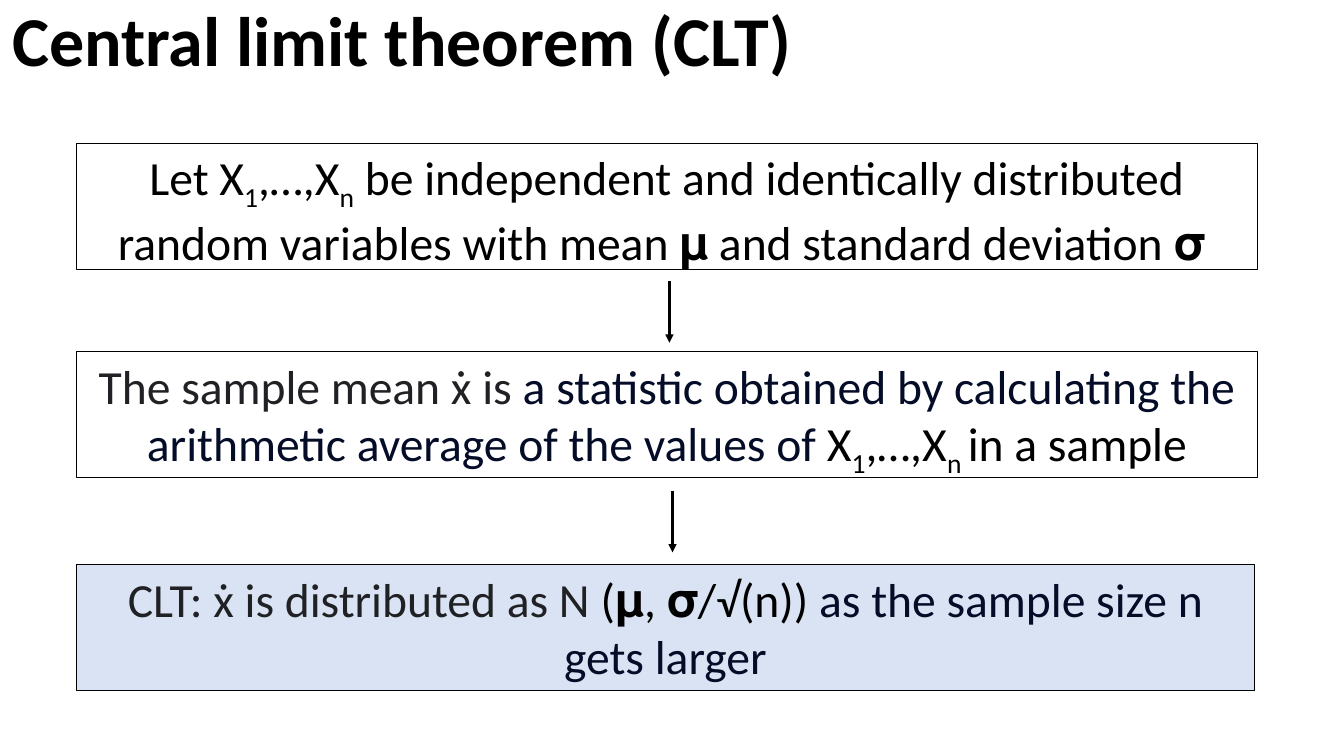
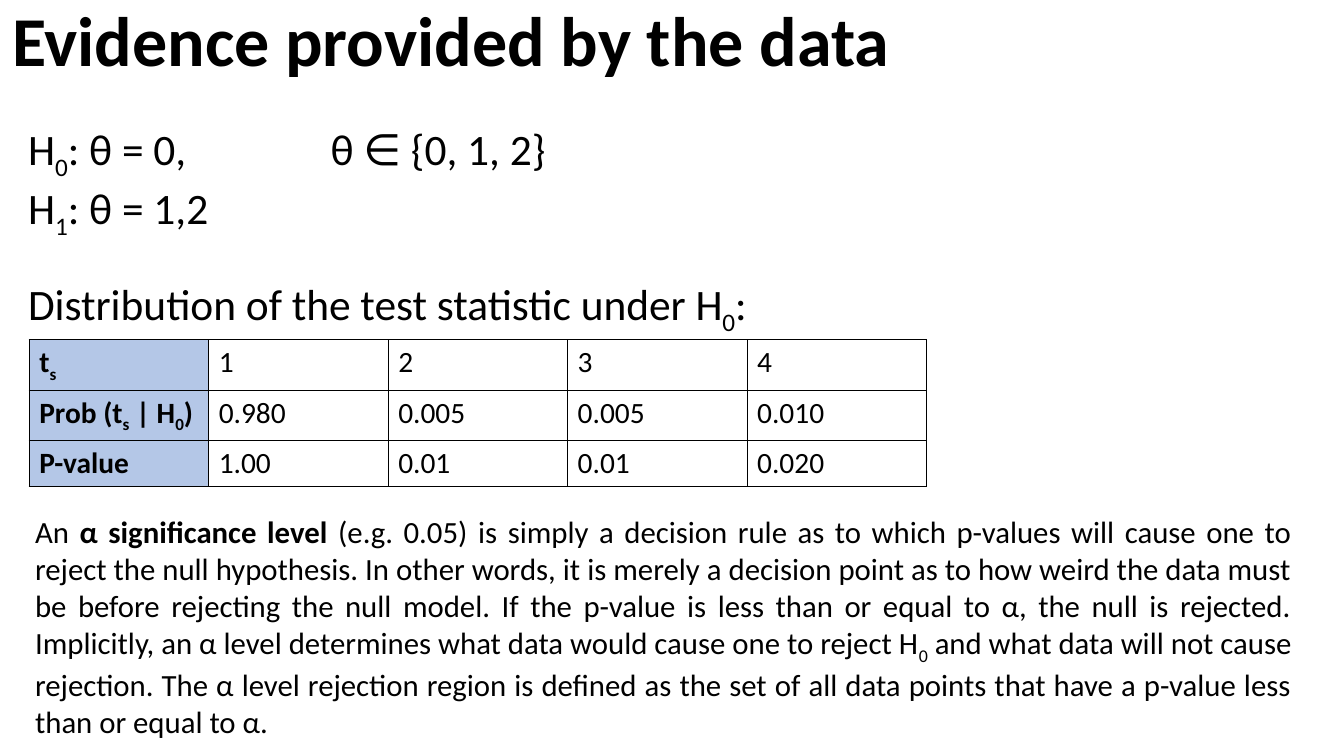
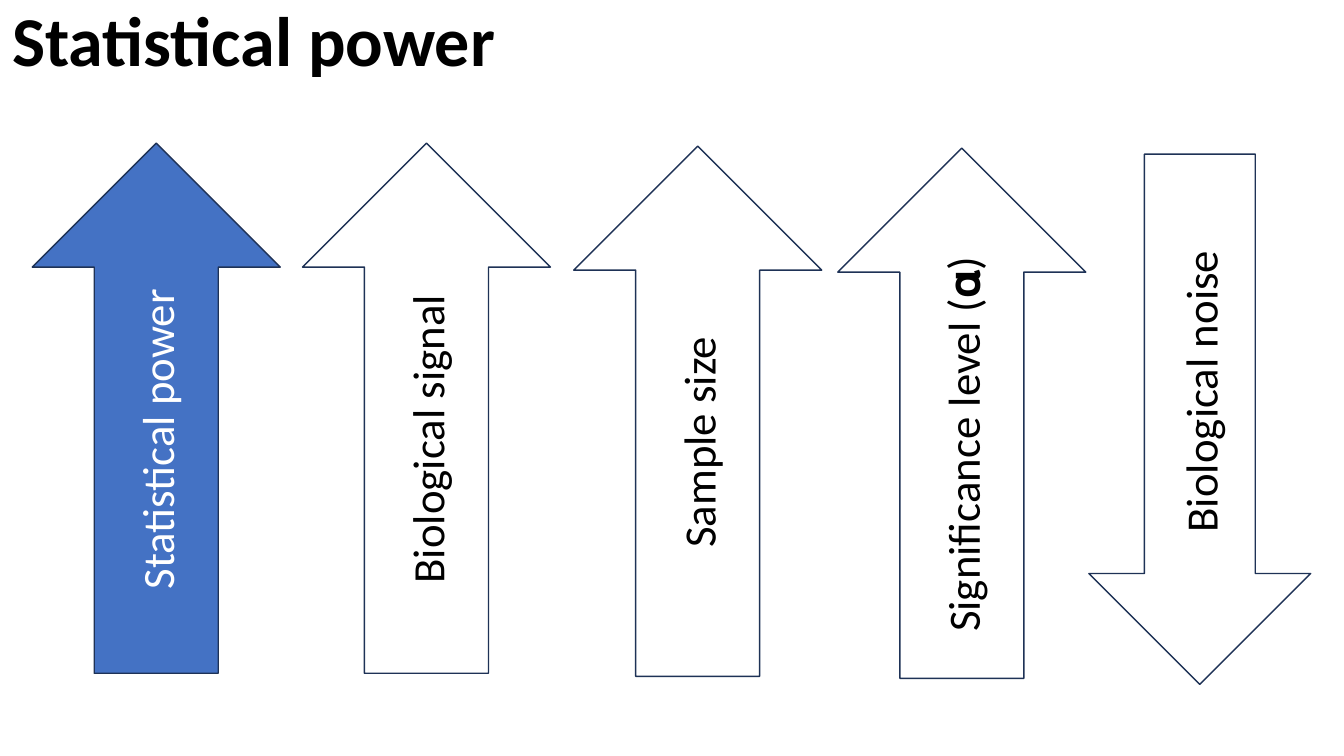
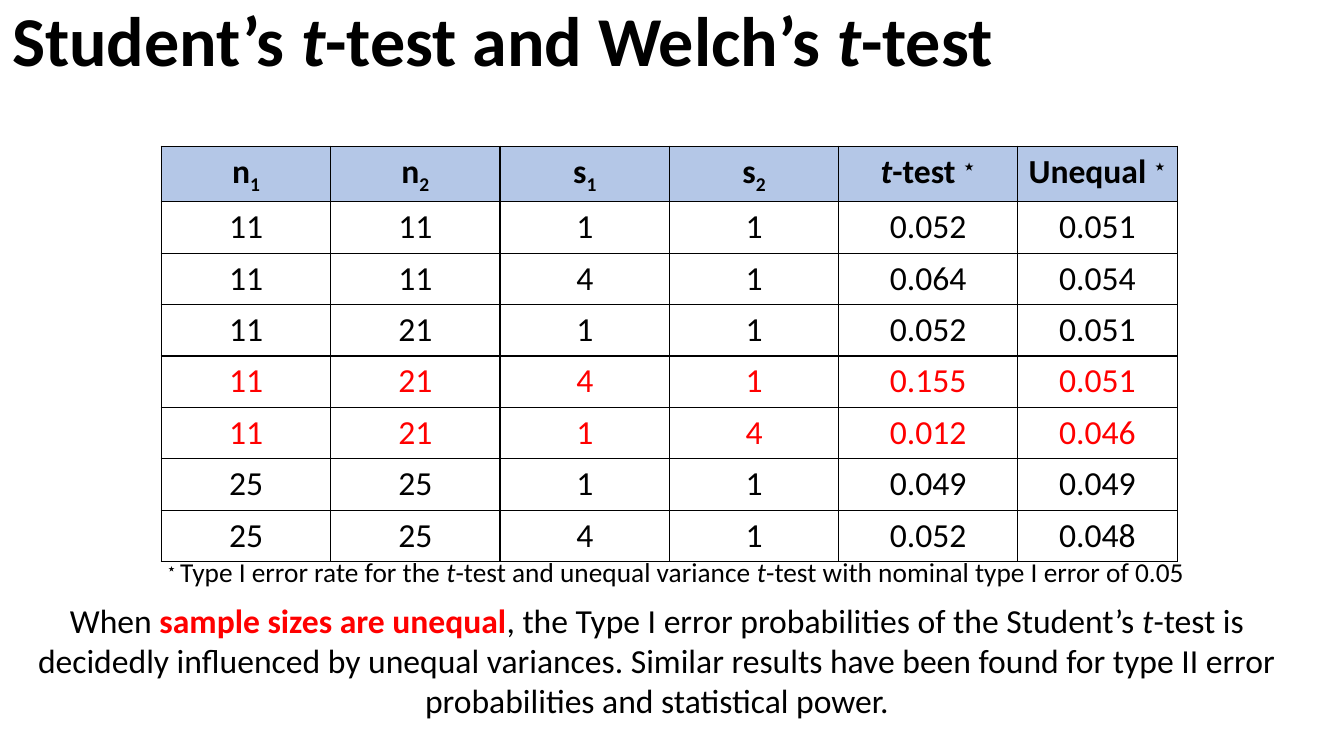
import pptx
import pptx.util
import pptx.dml.color
import pptx.enum.shapes
import pptx.enum.text
import pptx.oxml.ns
import lxml.etree

PX = 9144
FONT = "Calibri"
COLORS = {
    "black": "000000",
    "white": "FFFFFF",
    "charcoal": "202124",
    "navy": "040C28",
    "red": "FF0000",
    "pale": "DAE3F3",
    "header": "B4C7E7",
    "blue": "4472C4",
    "outline": "1E3256",
}
BASELINES = {"sub": "-25000", "super": "30000"}
ALIGN = pptx.enum.text.PP_ALIGN
ANCHOR = pptx.enum.text.MSO_ANCHOR
SHAPE = pptx.enum.shapes.MSO_SHAPE
TITLE_BOX = (2, 4, 1333, 79)

CLT_TITLE = ["Central limit theorem (CLT)"]
CLT_STEPS = [
    ((76, 142, 1171, 125), None, [
        "Let X", ("1", "sub"), ",…,X", ("n", "sub"),
        " be independent and identically distributed random variables"
        " with mean 𝛍 and standard deviation 𝛔 "]),
    ((76, 349, 1171, 125), None, [
        ("The sample mean ẋ is ", "charcoal"),
        ("a statistic obtained by calculating the arithmetic average of the values of ", "navy"),
        "X", ("1", "sub"), ",…,X", ("n ", "sub"), "in a sample"]),
    ((76, 560, 1168, 125), "pale", [
        ("CLT: ẋ is distributed as N", "charcoal"), " (𝛍, 𝛔/√(n)) ",
        ("as the sample size n gets larger", "navy")]),
]
CLT_ARROWS = [(664, 279), (667, 487)]
CLT_ARROW_LENGTH = 61

EVIDENCE_TITLE = ["Evidence provided by the data"]
HYPOTHESES = [
    ["H", ("0", "sub"), ": θ = 0,\tθ ∈ {0, 1, 2}"],
    ["H", ("1", "sub"), ": θ = 1,2"],
]
DISTRIBUTION = [["Distribution of the test statistic under H", ("0", "sub"), ":"]]
P_VALUES = [
    [["t", ("s", "sub")], "1", "2", "3", "4"],
    [["Prob (t", ("s", "sub"), " | H", ("0", "sub"), ")"], "0.980", "0.005", "0.005", "0.010"],
    ["P-value", "1.00", "0.01", "0.01", "0.020"],
]
SIGNIFICANCE = [[
    "An ", ("α significance level ", "bold"),
    "(e.g. 0.05) is simply a decision rule as to which p-values will cause one to reject"
    " the null hypothesis. In other words, it is merely a decision point as to how weird"
    " the data must be before rejecting the null model. If the p-value is less than or"
    " equal to α, the null is rejected. Implicitly, an α level determines what data would"
    " cause one to reject H", ("0", "sub"),
    " and what data will not cause rejection. The α level rejection region is defined as"
    " the set of all data points that have a p-value less than or equal to α."]]

POWER_TITLE = ["Statistical power"]
POWER_ARROWS = [
    ("Statistical power", SHAPE.UP_ARROW, (32, 142, 246, 526), "blue", "white"),
    ("Biological signal", SHAPE.UP_ARROW, (300, 142, 246, 526), "white", "black"),
    ("Sample size", SHAPE.UP_ARROW, (569, 145, 246, 526), "white", "black"),
    ("Significance level (𝛂)", SHAPE.UP_ARROW, (831, 147, 246, 526), "white", "black"),
    ("Biological noise", SHAPE.DOWN_ARROW, (1080, 153, 220, 526), None, "black"),
]

TEST_TITLE = ["Student’s ", ("t", "italic"), "-test and Welch’s ", ("t", "italic"), "-test"]
ERROR_RATES = [
    [["n", ("1", "sub")], ["n", ("2", "sub")], ["s", ("1", "sub")], ["s", ("2", "sub")],
     [("t", "italic"), "-test ", ("⋆", "super")], ["Unequal ", ("⋆", "super")]],
    ["11", "11", "1", "1", "0.052", "0.051"],
    ["11", "11", "4", "1", "0.064", "0.054"],
    ["11", "21", "1", "1", "0.052", "0.051"],
    ["11", "21", "4", "1", "0.155", "0.051"],
    ["11", "21", "1", "4", "0.012", "0.046"],
    ["25", "25", "1", "1", "0.049", "0.049"],
    ["25", "25", "4", "1", "0.052", "0.048"],
]
INFLATED_ROWS = (4, 5)
FOOTNOTE = [[
    ("⋆ ", "super"), "Type I error rate for the ", ("t", "italic"),
    "-test and unequal variance ", ("t", "italic"),
    "-test with nominal type I error of 0.05"]]
CONCLUSION = [[
    "When ", ("sample sizes are unequal", "red bold"),
    ", the Type I error probabilities of the Student’s ", ("t", "italic"),
    "-test is decidedly influenced by unequal variances. Similar results have been found"
    " for type II error probabilities and statistical power."]]


def scaled(box):
    return [length * PX for length in box]


def rgb(name):
    return pptx.dml.color.RGBColor.from_string(COLORS[name])


def set_fill(fill, color):
    if color:
        fill.solid()
        fill.fore_color.rgb = rgb(color)
    else:
        fill.background()


def write_paragraph(paragraph, runs, size, color="black", align=ALIGN.LEFT, bold=False):
    paragraph.alignment = align
    font = paragraph.font
    font.name, font.size, font.bold = FONT, pptx.util.Pt(size), bold
    font.color.rgb = rgb(color)
    for item in [runs] if isinstance(runs, str) else runs:
        text, styles = (item, "") if isinstance(item, str) else item
        run = paragraph.add_run()
        run.text = text
        for style in styles.split():
            if style in BASELINES:
                run._r.get_or_add_rPr().set("baseline", BASELINES[style])
            elif style in COLORS:
                run.font.color.rgb = rgb(style)
            else:
                setattr(run.font, style, True)


def write_frame(frame, paragraphs, size, anchor=ANCHOR.TOP, tab=None, **style):
    frame.word_wrap = True
    frame.auto_size = pptx.enum.text.MSO_AUTO_SIZE.NONE
    frame.vertical_anchor = anchor
    for index, runs in enumerate(paragraphs):
        paragraph = frame.add_paragraph() if index else frame.paragraphs[0]
        if tab:
            properties = paragraph._p.get_or_add_pPr()
            tabs = lxml.etree.SubElement(properties, pptx.oxml.ns.qn("a:tabLst"))
            lxml.etree.SubElement(tabs, pptx.oxml.ns.qn("a:tab"), pos=str(tab * PX), algn="l")
        write_paragraph(paragraph, runs, size, **style)


def add_slide(presentation, title_runs):
    slide = presentation.slides.add_slide(presentation.slide_layouts[5])
    title = slide.shapes.title
    title.left, title.top, title.width, title.height = scaled(TITLE_BOX)
    write_frame(title.text_frame, [title_runs], 50, anchor=ANCHOR.MIDDLE, bold=True)
    title.text_frame.paragraphs[0].line_spacing = 0.9
    return slide


def add_text(slide, box, paragraphs, size, **style):
    textbox = slide.shapes.add_textbox(*scaled(box))
    write_frame(textbox.text_frame, paragraphs, size, **style)


def add_figure(slide, kind, box, fill, line, line_width):
    shape = slide.shapes.add_shape(kind, *scaled(box))
    shape.shadow.inherit = False
    set_fill(shape.fill, fill)
    shape.line.color.rgb = rgb(line)
    shape.line.width = pptx.util.Pt(line_width)
    return shape


def add_down_arrow(slide, x, y, length):
    connector = slide.shapes.add_connector(
        pptx.enum.shapes.MSO_CONNECTOR.STRAIGHT, *scaled((x, y, x, y + length)))
    connector.line.color.rgb = rgb("black")
    connector.line.width = pptx.util.Pt(1.5)
    line = connector.line._get_or_add_ln()
    lxml.etree.SubElement(line, pptx.oxml.ns.qn("a:tailEnd"), type="triangle")
    lxml.etree.SubElement(connector._element.spPr, pptx.oxml.ns.qn("a:effectLst"))


def add_borders(cell):
    properties = cell._tc.get_or_add_tcPr()
    for index, side in enumerate(("lnL", "lnR", "lnT", "lnB")):
        line = lxml.etree.Element(pptx.oxml.ns.qn("a:" + side), w="12700")
        solid = lxml.etree.SubElement(line, pptx.oxml.ns.qn("a:solidFill"))
        lxml.etree.SubElement(solid, pptx.oxml.ns.qn("a:srgbClr"), val=COLORS["black"])
        properties.insert(index, line)


def add_grid(slide, left, top, widths, heights, rows, size, is_header, align, red_rows=()):
    box = scaled((left, top, sum(widths), sum(heights)))
    table = slide.shapes.add_table(len(rows), len(widths), *box).table
    table.first_row = table.horz_banding = False
    for column, width in zip(table.columns, widths):
        column.width = width * PX
    for row, height in zip(table.rows, heights):
        row.height = height * PX
    for r, values in enumerate(rows):
        for c, runs in enumerate(values):
            cell = table.cell(r, c)
            header = is_header(r, c)
            set_fill(cell.fill, "header" if header else None)
            add_borders(cell)
            write_paragraph(cell.text_frame.paragraphs[0], runs, size, align=align,
                            color="red" if r in red_rows else "black", bold=header)


def build_theorem(presentation):
    slide = add_slide(presentation, CLT_TITLE)
    for box, fill, runs in CLT_STEPS:
        shape = add_figure(slide, SHAPE.RECTANGLE, box, fill, "black", 0.75)
        write_frame(shape.text_frame, [runs], 34, align=ALIGN.CENTER)
    for x, y in CLT_ARROWS:
        add_down_arrow(slide, x, y, CLT_ARROW_LENGTH)


def build_evidence(presentation):
    slide = add_slide(presentation, EVIDENCE_TITLE)
    add_text(slide, (18, 116, 1302, 116), HYPOTHESES, 31, tab=300)
    add_text(slide, (18, 270, 754, 62), DISTRIBUTION, 31)
    add_grid(slide, 29, 337, [178] * 5, [50, 50, 45], P_VALUES, 21,
             lambda r, c: c == 0, ALIGN.LEFT)
    add_text(slide, (25, 504, 1266, 232), SIGNIFICANCE, 22, align=ALIGN.JUSTIFY)


def build_power(presentation):
    slide = add_slide(presentation, POWER_TITLE)
    for label, kind, box, fill, color in POWER_ARROWS:
        arrow = add_figure(slide, kind, box, fill, "outline", 1)
        write_frame(arrow.text_frame, [label], 32, anchor=ANCHOR.MIDDLE,
                    color=color, align=ALIGN.CENTER)
        arrow.text_frame._txBody.bodyPr.set("vert", "vert270")


def build_tests(presentation):
    slide = add_slide(presentation, TEST_TITLE)
    add_grid(slide, 160, 145, [168] * 4 + [177, 159], [55] + [51] * 7, ERROR_RATES, 24,
             lambda r, c: r == 0, ALIGN.CENTER, INFLATED_ROWS)
    add_text(slide, (24, 590, 1255, 131), CONCLUSION, 24, align=ALIGN.CENTER)
    add_text(slide, (136, 546, 1068, 43), FOOTNOTE, 19.5, align=ALIGN.CENTER)


def main():
    presentation = pptx.Presentation()
    presentation.slide_width, presentation.slide_height = scaled((1333, 750))
    for build in (build_theorem, build_evidence, build_power, build_tests):
        build(presentation)
    presentation.save("out.pptx")


if __name__ == "__main__":
    main()
